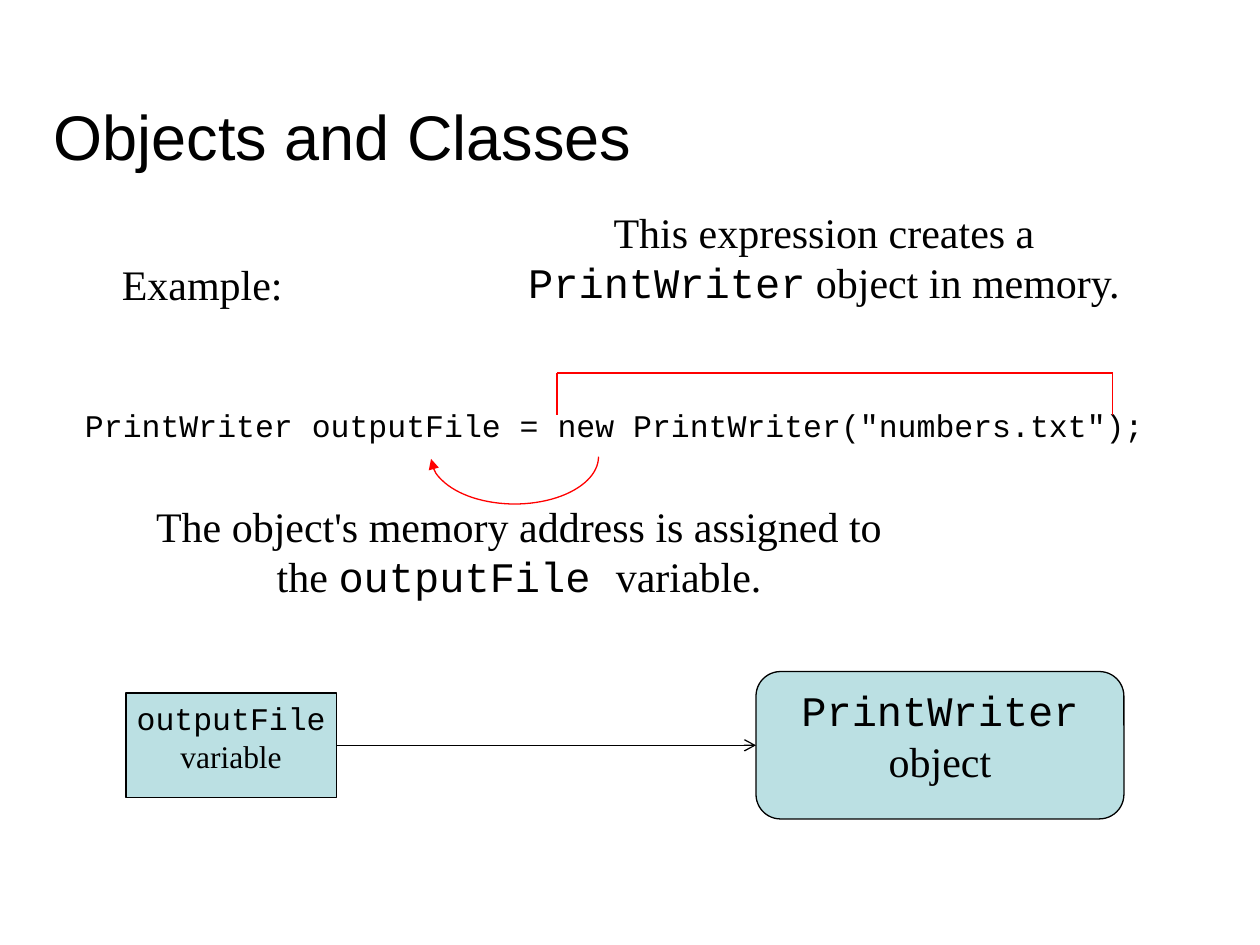
from dataclasses import dataclass

from lxml.etree import SubElement
from pptx import Presentation
from pptx.dml.color import RGBColor
from pptx.enum.shapes import MSO_CONNECTOR, MSO_SHAPE
from pptx.enum.text import MSO_ANCHOR, MSO_AUTO_SIZE, PP_ALIGN
from pptx.oxml.ns import qn
from pptx.util import Inches, Pt


@dataclass(frozen=True)
class Theme:
    ink: RGBColor = RGBColor(0, 0, 0)
    accent: RGBColor = RGBColor(0xFF, 0, 0)
    panel: RGBColor = RGBColor(0xBB, 0xE0, 0xE3)
    heading: str = "Arial"
    body: str = "Times New Roman"
    code: str = "Courier New"
    title_size: int = 36
    body_size: int = 24
    small_size: int = 18
    stroke: float = 0.75


class SlideBuilder:
    def __init__(self, slide, theme):
        self.slide = slide
        self.theme = theme

    def fill_frame(self, frame, paragraphs, size, align=PP_ALIGN.CENTER, **frame_format):
        for name, value in frame_format.items():
            setattr(frame, name, value)
        for index, runs in enumerate(paragraphs):
            paragraph = frame.add_paragraph() if index else frame.paragraphs[0]
            paragraph.alignment = align
            for words, typeface in runs:
                run = paragraph.add_run()
                run.text = words
                font_format = {"name": typeface, "size": Pt(size)}
                for name, value in font_format.items():
                    setattr(run.font, name, value)
                run.font.color.rgb = self.theme.ink

    def text(self, box, runs, size, align=PP_ALIGN.CENTER, wrap=True,
             anchor=MSO_ANCHOR.TOP, auto_size=MSO_AUTO_SIZE.SHAPE_TO_FIT_TEXT):
        label = self.slide.shapes.add_textbox(*map(Inches, box))
        self.fill_frame(label.text_frame, [runs], size, align, word_wrap=wrap,
                        vertical_anchor=anchor, auto_size=auto_size)

    def stroke(self, line, color):
        line.color.rgb = color
        line.width = Pt(self.theme.stroke)

    def arrowhead(self, shape, kind):
        outline = shape.line._get_or_add_ln()
        SubElement(outline, qn("a:tailEnd"), type=kind)

    def panel(self, preset, box, paragraphs, size):
        panel = self.slide.shapes.add_shape(preset, *map(Inches, box))
        panel.shadow.inherit = False
        panel.fill.solid()
        panel.fill.fore_color.rgb = self.theme.panel
        self.stroke(panel.line, self.theme.ink)
        self.fill_frame(panel.text_frame, paragraphs, size, word_wrap=False,
                        vertical_anchor=MSO_ANCHOR.TOP)
        return panel

    def line(self, start, end, color):
        line = self.slide.shapes.add_connector(
            MSO_CONNECTOR.STRAIGHT, *map(Inches, (*start, *end)))
        self.stroke(line.line, color)
        SubElement(line._element.spPr, qn("a:effectLst"))
        return line

    def link(self, source, target):
        link = self.line((0, 0), (1, 1), self.theme.ink)
        link.begin_connect(source, 3)
        link.end_connect(target, 1)
        self.arrowhead(link, "arrow")

    def arc(self, box, rotation, angles):
        arc = self.slide.shapes.add_shape(MSO_SHAPE.ARC, *map(Inches, box))
        arc.rotation = rotation
        for index, angle in enumerate(angles):
            arc.adjustments[index] = angle * 0.6
        arc.fill.background()
        self.stroke(arc.line, self.theme.accent)
        self.arrowhead(arc, "triangle")
        arc.shadow.inherit = False


def main():
    presentation = Presentation()
    presentation.slide_width = Inches(10)
    presentation.slide_height = Inches(7.5)
    theme = Theme()
    slide = presentation.slides.add_slide(presentation.slide_layouts[6])
    builder = SlideBuilder(slide, theme)

    builder.text((0.33, 0.33, 9.42, 1.09), [("Objects and Classes", theme.heading)],
                 theme.title_size, PP_ALIGN.LEFT, anchor=MSO_ANCHOR.BOTTOM,
                 auto_size=MSO_AUTO_SIZE.NONE)
    builder.text((0.5, 3.17, 8.75, 0.4),
                 [('PrintWriter outputFile = new PrintWriter("numbers.txt");', theme.code)],
                 theme.small_size)

    variable = builder.panel(
        MSO_SHAPE.RECTANGLE, (1, 5.5, 1.67, 0.83),
        [[("outputFile", theme.code)], [("variable", theme.body)]], theme.small_size)
    writer = builder.panel(
        MSO_SHAPE.ROUNDED_RECTANGLE, (6, 5.33, 2.92, 1.17),
        [[("PrintWriter", theme.code)], [("object", theme.body)]], theme.body_size)
    builder.link(variable, writer)

    builder.text((4.08, 1.59, 4.92, 0.91),
                 [("This expression creates a ", theme.body),
                  ("PrintWriter", theme.code),
                  (" object in memory.", theme.body)], theme.body_size)

    left, right, top, bottom = 4.42, 8.83, 2.96, 3.29
    bracket = [(left, bottom), (left, top), (right, top), (right, bottom)]
    for start, end in zip(bracket, bracket[1:]):
        builder.line(start, end, theme.accent)
    builder.arc((3.71, 2.96, 0.75, 1.33), 90, (270, 88.49))

    builder.text((1.08, 3.92, 6.08, 0.91),
                 [("The object's memory address is assigned to the ", theme.body),
                  ("outputFile ", theme.code),
                  ("variable.", theme.body)], theme.body_size)
    builder.text((0.86, 2, 1.49, 0.51), [("Example:", theme.body)],
                 theme.body_size, wrap=False)

    presentation.save("out.pptx")


if __name__ == "__main__":
    main()
